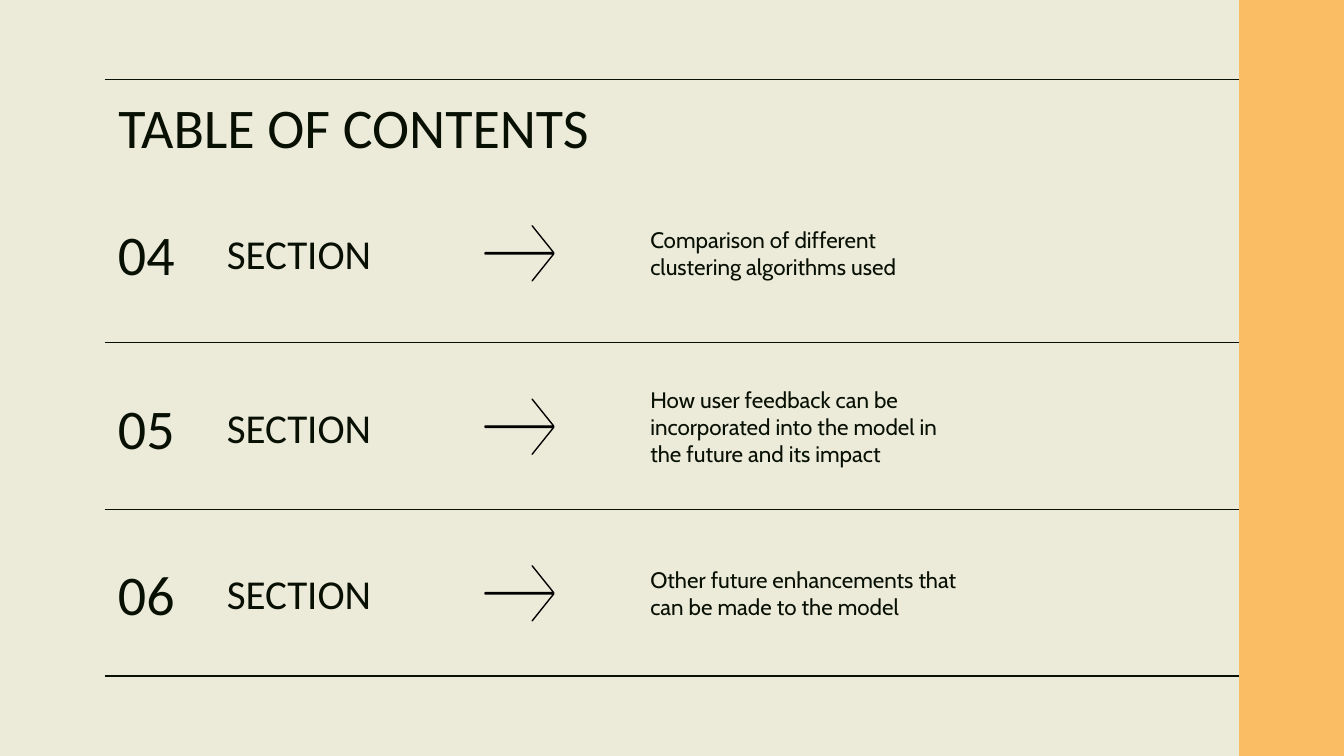
from dataclasses import dataclass

from lxml import etree
from pptx import Presentation
from pptx import util as u
from pptx.dml.color import RGBColor
from pptx.enum import shapes, text
from pptx.oxml.ns import qn

CREAM = RGBColor(0xEC, 0xEB, 0xDA)
ORANGE = RGBColor(0xFA, 0xBD, 0x63)
INK = RGBColor(0x08, 0x10, 0x04)
BLACK = RGBColor(0, 0, 0)

CELL = u.Inches(0.1)
COLUMNS, ROWS = 100, 56.25
LEFT, RIGHT = 7.8, 92.2
TOP_RULE, FIRST_RULE, RULE_GAP = 5.9, 25.5, 12.4
TEXT_HEIGHT = 4.9
ARROW_COLUMN, ARROW_HEIGHT = 36.1, 4.1
ARROW_OUTLINE = [(35, 0), (51, 20), (0, 20), (0, 21), (51, 21), (35, 41), (51, 21), (51, 20)]


@dataclass(frozen=True)
class Section:
    number: str
    summary: str
    middle: float


@dataclass(frozen=True)
class Field:
    column: float
    width: float
    size: int
    font: str


NUMBER = Field(LEFT, 8, 30, "Calibri")
LABEL = Field(15.9, 18.6, 22, "Calibri")
SUMMARY = Field(47.4, 25.2, 12, "Cabin")

SECTIONS = [
    Section("04", "Comparison of different clustering algorithms used", 18.85),
    Section("05", "How user feedback can be incorporated into the model in the future and its impact", 31.75),
    Section("06", "Other future enhancements that can be made to the model", 44.15),
]


def grid(cells: float) -> u.Emu:
    return u.Emu(round(cells * CELL))


def write(box, words: str, *, size: int, font: str, anchor) -> None:
    frame = box.text_frame
    frame.word_wrap = True
    frame.auto_size = text.MSO_AUTO_SIZE.NONE
    frame.vertical_anchor = anchor
    frame.margin_left = frame.margin_right = CELL
    frame.margin_top = frame.margin_bottom = CELL
    para = frame.paragraphs[0]
    para.alignment = text.PP_ALIGN.LEFT
    span = para.add_run()
    span.text = words
    span.font.size = u.Pt(size)
    span.font.name = font
    span.font.color.rgb = INK


def add_field(page, field: Field, words: str, middle: float) -> None:
    box = page.shapes.add_textbox(
        grid(field.column), grid(middle - TEXT_HEIGHT / 2), grid(field.width), grid(TEXT_HEIGHT)
    )
    write(box, words, size=field.size, font=field.font, anchor=text.MSO_ANCHOR.MIDDLE)


def add_rule(page, row: float) -> None:
    rule = page.shapes.add_connector(
        shapes.MSO_CONNECTOR.STRAIGHT, grid(LEFT), grid(row), grid(RIGHT), grid(row)
    )
    rule.line.color.rgb = INK
    rule.line.width = u.Pt(0.75)
    etree.SubElement(rule._element.spPr, qn("a:effectLst"))


def add_arrow(page, middle: float) -> None:
    builder = page.shapes.build_freeform(*ARROW_OUTLINE[0], scale=CELL / 10)
    builder.add_line_segments(ARROW_OUTLINE[1:], close=True)
    arrow = builder.convert_to_shape(grid(ARROW_COLUMN), grid(middle - ARROW_HEIGHT / 2))
    arrow.shadow.inherit = False
    arrow.fill.solid()
    arrow.fill.fore_color.rgb = BLACK
    arrow.line.color.rgb = BLACK
    arrow.line.width = u.Pt(0.75)


def add_band(page) -> None:
    band = page.shapes.add_shape(
        shapes.MSO_SHAPE.RECTANGLE, grid(RIGHT), 0, grid(COLUMNS - RIGHT), grid(ROWS)
    )
    band.shadow.inherit = False
    band.fill.solid()
    band.fill.fore_color.rgb = ORANGE
    band.line.fill.background()


def add_title(page, words: str) -> None:
    title = page.shapes.title
    title.left, title.top = grid(LEFT), grid(TOP_RULE)
    title.width, title.height = grid(RIGHT - LEFT), grid(6.3)
    write(title, words, size=30, font="Calibri", anchor=text.MSO_ANCHOR.TOP)


def main() -> None:
    deck = Presentation()
    deck.slide_width, deck.slide_height = grid(COLUMNS), grid(ROWS)
    page = deck.slides.add_slide(deck.slide_layouts.get_by_name("Title Only"))
    page.background.fill.solid()
    page.background.fill.fore_color.rgb = CREAM
    add_band(page)
    add_title(page, "TABLE OF CONTENTS")
    add_rule(page, TOP_RULE)
    for index, section in enumerate(SECTIONS):
        add_field(page, NUMBER, section.number, section.middle)
        add_field(page, LABEL, "SECTION", section.middle)
        add_arrow(page, section.middle)
        add_field(page, SUMMARY, section.summary, section.middle)
        add_rule(page, FIRST_RULE + index * RULE_GAP)
    deck.save("out.pptx")


if __name__ == "__main__":
    main()
